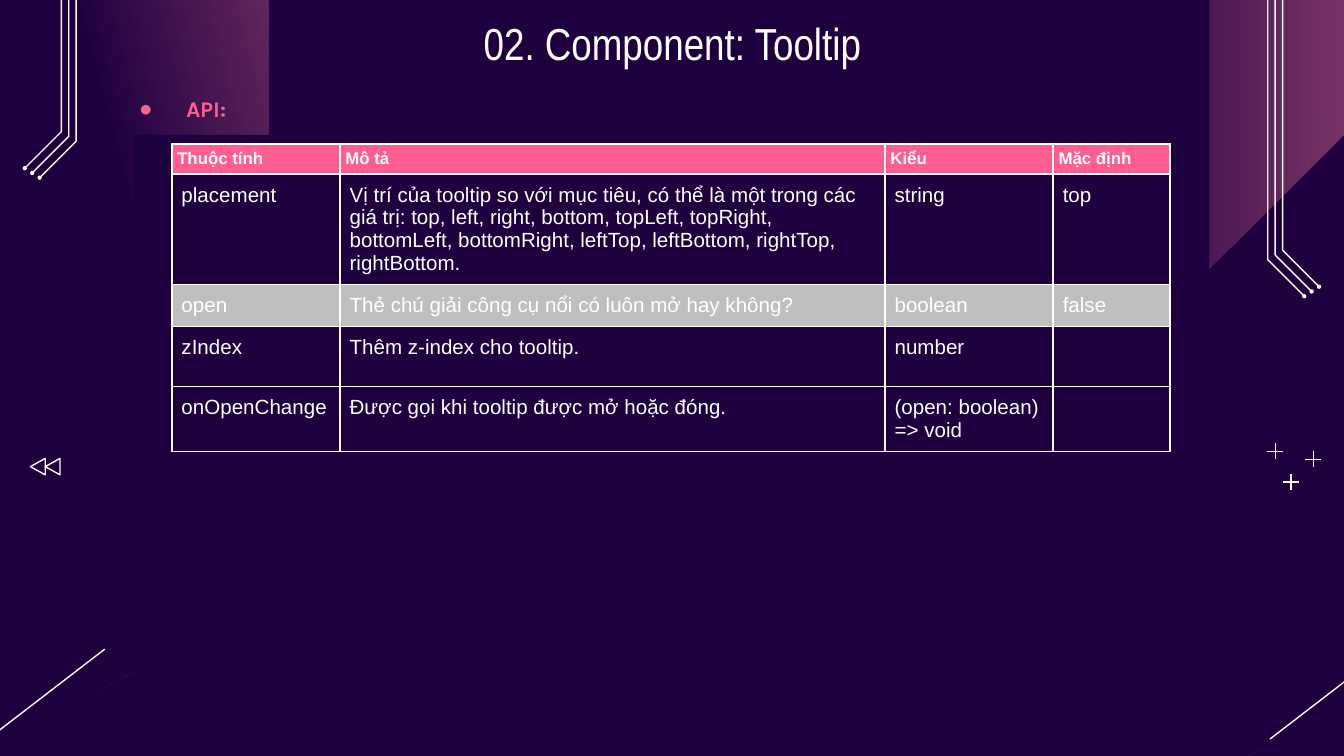
from pptx import Presentation
from pptx.dml.color import RGBColor
from pptx.enum.shapes import MSO_CONNECTOR, MSO_SHAPE
from pptx.enum.text import MSO_ANCHOR, MSO_AUTO_SIZE, PP_ALIGN
from pptx.oxml.ns import qn
from pptx.util import Cm, Pt
from lxml.etree import SubElement

NIGHT = RGBColor(0x1E, 0x00, 0x3F)
PLUM = RGBColor(0xA6, 0x4D, 0x79)
FAINT = RGBColor(0x3A, 0x10, 0x50)
PINK = RGBColor(0xFF, 0x5E, 0x8E)
GREY = RGBColor(0xBF, 0xBF, 0xBF)
WHITE = RGBColor(0xFF, 0xFF, 0xFF)

WIDTH, HEIGHT = Cm(25.4), Cm(14.29)
UNIT = Cm(2.54)  # one step of the outlines below
HAIRLINE = Pt(0.75)

# Each outline is a start followed by curves (control, control, end) or straight points.
LEFT_BLOB = [
    (0.48, 1.9),
    ((0.74, 1.83), (0.86, 1.69), (0.9, 1.65)),
    ((0.98, 1.56), (1.01, 1.43), (0.99, 1.31)),
    ((0.98, 1.24), (0.95, 1.17), (0.97, 1.11)),
    ((0.98, 1.02), (1.06, 0.97), (1.14, 0.95)),
    ((1.24, 0.92), (1.33, 0.93), (1.42, 0.93)),
    ((1.46, 0.93), (1.5, 0.92), (1.53, 0.91)),
    ((1.58, 0.9), (1.63, 0.88), (1.66, 0.84)),
    ((1.74, 0.75), (1.73, 0.61), (1.69, 0.51)),
    ((1.64, 0.41), (1.55, 0.32), (1.48, 0.23)),
    ((1.4, 0.15), (1.33, 0.04), (1.33, -0.07)),
    (1.59, -0.39), (2.28, -0.43), (2.6, -0.87), (2.33, -1.34), (1.67, -1.51),
    (0.54, -0.9), (-0.91, -0.74), (-1.94, 0.22), (-1.56, 0.8), (-0.46, 1.06),
    (-0.13, 1.33),
    ((-0.08, 1.44), (-0.08, 1.55), (-0.03, 1.66)),
    ((0.06, 1.84), (0.29, 1.95), (0.48, 1.9)),
]
RIGHT_BLOB = [
    (1.25, 0.38),
    (1.05, -0.35), (0.58, -0.77), (-0.11, -0.84), (-0.71, -1.13), (-1.03, -1.41),
    (-1.48, -1.43), (-1.81, -1.29), (-2.07, -0.78), (-2.11, -0.38),
    ((-2.11, -0.31), (-2.11, -0.24), (-2.1, -0.18)),
    ((-2.09, 0), (-2.04, 0.18), (-1.91, 0.3)),
    ((-1.75, 0.42), (-1.53, 0.42), (-1.36, 0.5)),
    ((-1.22, 0.57), (-1.12, 0.69), (-1.07, 0.83)),
    ((-1.04, 0.94), (-1.04, 1.07), (-1.02, 1.19)),
    ((-1, 1.3), (-0.95, 1.43), (-0.86, 1.5)),
    ((-0.76, 1.57), (-0.62, 1.57), (-0.51, 1.52)),
    ((-0.4, 1.47), (-0.31, 1.39), (-0.22, 1.3)),
    ((-0.17, 1.23), (-0.12, 1.16), (-0.05, 1.11)),
    ((0.02, 1.06), (0.1, 1.03), (0.18, 1.06)),
    ((0.33, 1.1), (0.38, 1.3), (0.52, 1.38)),
    ((0.85, 1.57), (1.08, 1.12), (1.17, 0.88)),
    ((1.22, 0.72), (1.25, 0.55), (1.25, 0.38)),
]
STREAK = [
    (0.53, 4.72),
    ((0.55, 4.7), (0.59, 4.71), (0.6, 4.72)),
    ((0.61, 4.75), (0.61, 4.78), (0.59, 4.79)),
    (-0.81, 5.88),
    ((-0.84, 5.89), (-0.87, 5.89), (-0.88, 5.87)),
    ((-0.9, 5.85), (-0.9, 5.82), (-0.87, 5.8)),
]

ROWS = [
    ("Thuộc tính", "Mô tả", "Kiểu", "Mặc định"),
    ("placement",
     "Vị trí của tooltip so với mục tiêu, có thể là một trong các giá trị: "
     "top, left, right, bottom, topLeft, topRight, bottomLeft, bottomRight, "
     "leftTop, leftBottom, rightTop, rightBottom.", "string", "top"),
    ("open", "Thẻ chú giải công cụ nổi có luôn mở hay không?", "boolean", "false"),
    ("zIndex", "Thêm z-index cho tooltip.", "number", ""),
    ("onOpenChange", "Được gọi khi tooltip được mở hoặc đóng.",
     "(open: boolean) => void", ""),
]
ROW_FILLS = {0: PINK, 2: GREY}
COLUMN_SHARES = (1.25, 4.05, 1.25, 0.87)
ROW_HEIGHTS = (Cm(0.57), Cm(2.08), Cm(0.78), Cm(0.91), Cm(1.22))


def flatten(outline, steps=8):
    """Return the outline as points, each curve cut into equal steps."""
    points = [outline[0]]
    for part in outline[1:]:
        if len(part) == 2:
            points.append(part)
            continue
        corners = (points[-1], *part)
        for step in range(1, steps + 1):
            t = step / steps
            weights = ((1 - t) ** 3, 3 * t * (1 - t) ** 2, 3 * t * t * (1 - t), t ** 3)
            points.append(tuple(sum(w * corner[axis] for w, corner in zip(weights, corners))
                                for axis in (0, 1)))
    return points


def add_gradient_outline(slide, left, outline, angle, end_color, start=0.0):
    points = flatten(outline)
    builder = slide.shapes.build_freeform(*points[0], scale=UNIT)
    builder.add_line_segments(points[1:], close=True)
    shape = builder.convert_to_shape(left, 0)
    shape.shadow.inherit = False
    shape.line.fill.background()
    shape.fill.gradient()
    shape.fill.gradient_angle = angle
    first, last = shape.fill.gradient_stops
    first.color.rgb, first.position = NIGHT, start
    last.color.rgb, last.position = end_color, 1.0


def add_line(slide, *ends):
    line = slide.shapes.add_connector(MSO_CONNECTOR.STRAIGHT, *ends)
    line.line.color.rgb = WHITE
    line.line.width = HAIRLINE
    SubElement(line.element.spPr, qn("a:effectLst"))


def outline_white(shape):
    shape.shadow.inherit = False
    shape.fill.background()
    shape.line.color.rgb = WHITE
    shape.line.width = HAIRLINE


def add_corner_streak(slide, left, angle, end_color):
    add_gradient_outline(slide, left, STREAK, angle, end_color, 0.5)
    add_line(slide, left + Cm(1.98), Cm(12.27), left - Cm(0.23), Cm(13.97))


def add_circuit(slide, edge, direction, drop):
    """Three bent tracks beside a slide edge; direction is 1 inwards from the left."""
    for index in range(3):
        x = edge + direction * Cm(1.16 + 0.14 * index)
        bend = drop + Cm(2.49 + 0.09 * index)
        end_x, end_y = x - direction * Cm(0.69), bend + Cm(0.69)
        builder = slide.shapes.build_freeform(x, 0)
        builder.add_line_segments([(x, bend), (end_x, end_y)], close=False)
        outline_white(builder.convert_to_shape())
        radius = Cm(0.04)
        dot = slide.shapes.add_shape(MSO_SHAPE.OVAL, end_x - radius, end_y - radius,
                                     2 * radius, 2 * radius)
        dot.shadow.inherit = False
        dot.fill.solid()
        dot.fill.fore_color.rgb = WHITE
        dot.line.fill.background()


def add_pluses(slide, left, top):
    arm = Cm(0.15)
    for dx, dy in ((0, 0), (0.72, 0.15), (0.3, 0.58)):
        x, y = left + Cm(dx), top + Cm(dy)
        add_line(slide, x - arm, y, x + arm, y)
        add_line(slide, x, y - arm, x, y + arm)


def add_rewind_mark(slide, left, top):
    for index in range(2):
        triangle = slide.shapes.add_shape(MSO_SHAPE.ISOSCELES_TRIANGLE,
                                          left + index * Cm(0.28), top, Cm(0.31), Cm(0.28))
        triangle.rotation = 270
        outline_white(triangle)


def fill_placeholder(placeholder, box, text, font_name, size, color):
    """Place it in front of the decoration and return its paragraph."""
    placeholder.element.getparent().append(placeholder.element)
    placeholder.left, placeholder.top, placeholder.width, placeholder.height = box
    frame = placeholder.text_frame
    frame.word_wrap = True
    frame.auto_size = MSO_AUTO_SIZE.NONE
    frame.margin_left = frame.margin_right = frame.margin_top = frame.margin_bottom = Cm(0.25)
    paragraph = frame.paragraphs[0]
    paragraph.space_before = Pt(0)
    add_run(paragraph, text, font_name, size, color)
    return paragraph


def add_run(paragraph, text, font_name, size, color, bold=False):
    run = paragraph.add_run()
    run.text = text
    run.font.name, run.font.size, run.font.bold = font_name, size, bold
    run.font.color.rgb = color


def add_heading(slide, box):
    title = slide.shapes.title
    paragraph = fill_placeholder(title, box, "02. Component: Tooltip", "Arial Narrow", Pt(24), WHITE)
    paragraph.alignment = PP_ALIGN.CENTER
    title.text_frame.vertical_anchor = MSO_ANCHOR.MIDDLE


def add_api_bullet(slide, box):
    body = slide.placeholders[1]
    paragraph = fill_placeholder(body, box, "API:", "Karla", Pt(12), PINK)
    paragraph.runs[0].font.bold = True
    paragraph.line_spacing = 1.5
    body.text_frame.vertical_anchor = MSO_ANCHOR.TOP
    properties = paragraph._p.get_or_add_pPr()
    properties.set("marL", str(Cm(1.27)))
    properties.set("indent", str(-Cm(0.89)))
    color = SubElement(properties, qn("a:buClr"))
    SubElement(color, qn("a:srgbClr"), val=str(PINK))
    SubElement(properties, qn("a:buChar"), char="●")


def add_borders(cell):
    properties = cell._tc.get_or_add_tcPr()
    for index, side in enumerate(("a:lnL", "a:lnR", "a:lnT", "a:lnB")):
        border = properties.makeelement(qn(side), {"w": str(Pt(1))})
        properties.insert(index, border)
        fill = SubElement(border, qn("a:solidFill"))
        SubElement(fill, qn("a:srgbClr"), val=str(WHITE))


def add_api_table(slide, left, top, width):
    table = slide.shapes.add_table(len(ROWS), len(COLUMN_SHARES), left, top, width,
                                   sum(ROW_HEIGHTS)).table
    table.first_row = table.horz_banding = False
    for column, share in zip(table.columns, COLUMN_SHARES):
        column.width = int(width * share / sum(COLUMN_SHARES))
    for row_index, texts in enumerate(ROWS):
        header = row_index == 0
        table.rows[row_index].height = ROW_HEIGHTS[row_index]
        for cell, text in zip(table.rows[row_index].cells, texts):
            margin = Cm(0.1) if header else Cm(0.18)
            cell.margin_left = cell.margin_right = cell.margin_top = cell.margin_bottom = margin
            if row_index in ROW_FILLS:
                cell.fill.solid()
                cell.fill.fore_color.rgb = ROW_FILLS[row_index]
            else:
                cell.fill.background()
            add_borders(cell)
            if text:
                add_run(cell.text_frame.paragraphs[0], text, "Arial",
                        Pt(9) if header else Pt(11), WHITE, header)


def main():
    presentation = Presentation()
    presentation.slide_width, presentation.slide_height = WIDTH, HEIGHT
    slide = presentation.slides.add_slide(presentation.slide_layouts[1])
    slide.background.fill.solid()
    slide.background.fill.fore_color.rgb = NIGHT
    add_gradient_outline(slide, 0, LEFT_BLOB, 15, PLUM, 0.5)
    add_gradient_outline(slide, WIDTH, RIGHT_BLOB, 0, PLUM)
    add_corner_streak(slide, 0, 0, FAINT)
    add_corner_streak(slide, Cm(24.23), 173, PLUM)
    add_circuit(slide, 0, 1, 0)
    add_circuit(slide, WIDTH, -1, Cm(2.24))
    add_pluses(slide, Cm(24.1), Cm(8.53))
    add_rewind_mark(slide, Cm(0.56), Cm(8.68))
    add_api_bullet(slide, (Cm(2), Cm(1.3), Cm(20.62), Cm(1.22)))
    add_heading(slide, (Cm(2), 0, Cm(21.41), Cm(1.6)))
    add_api_table(slide, Cm(3.25), Cm(2.72), Cm(18.87))
    presentation.save("out.pptx")


if __name__ == "__main__":
    main()
